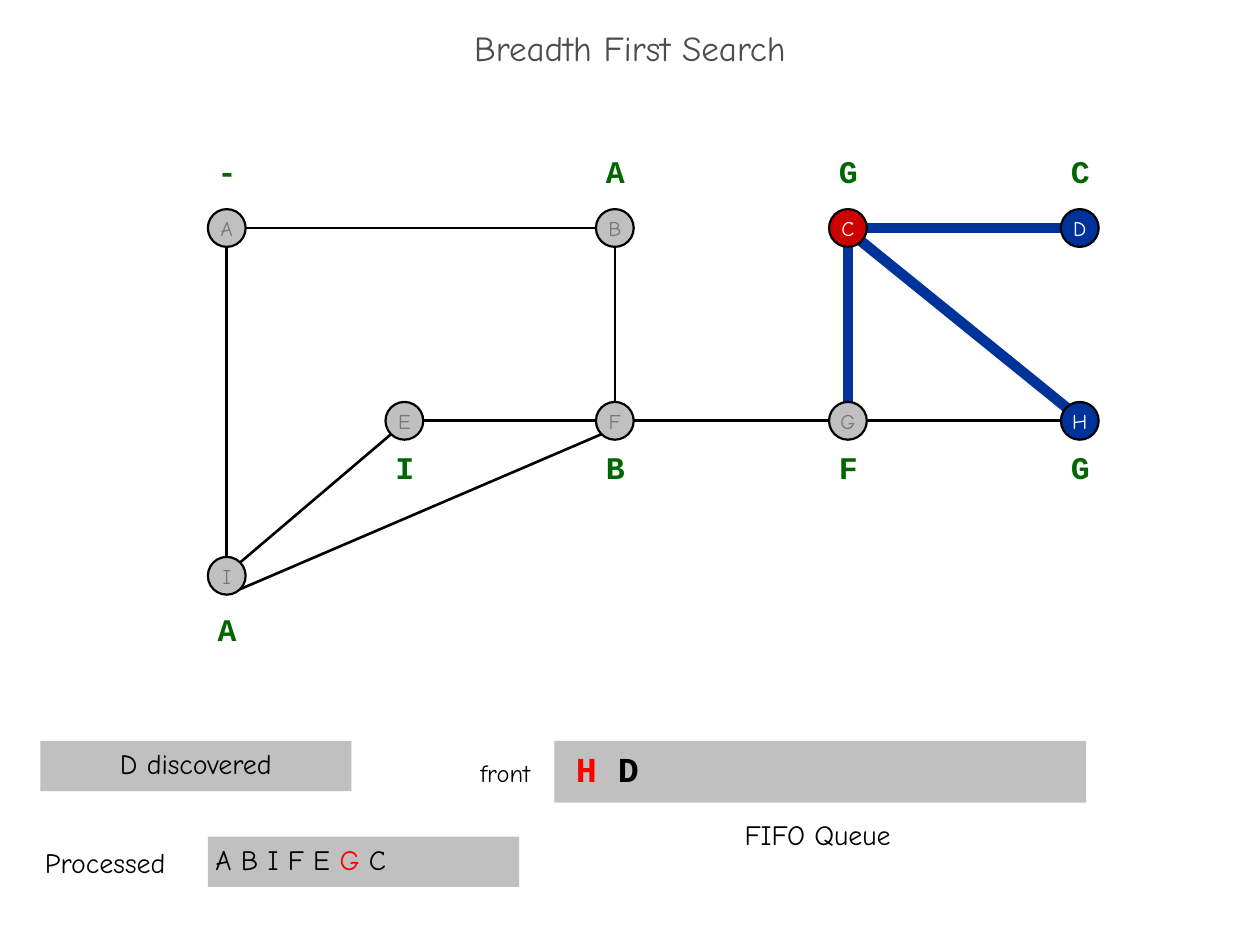
from dataclasses import dataclass
from math import hypot

from lxml.etree import SubElement
from pptx import Presentation
from pptx.dml.color import RGBColor
from pptx.enum.shapes import MSO_CONNECTOR as Connector, MSO_SHAPE as Shape
from pptx.enum.text import MSO_ANCHOR as Anchor, PP_ALIGN as Align
from pptx.oxml.ns import qn
from pptx.util import Inches, Pt


@dataclass(frozen=True)
class Theme:
    text_font: str = "Comic Neue"
    code_font: str = "Courier New"
    title: str = "4D4D4D"
    black: str = "000000"
    white: str = "FFFFFF"
    red: str = "FF0000"
    gray: str = "C0C0C0"
    dim: str = "777777"
    parent: str = "006600"
    current: str = "CC0000"
    active: str = "003399"
    title_size: int = 20
    queue_size: int = 20
    parent_size: int = 18
    body_size: int = 16
    front_size: int = 14
    node_size: int = 12
    edge_width: float = 1.5
    active_width: float = 6
    outline_width: float = 1.25


THEME = Theme()
WIDTH, HEIGHT = 10, 7.5
COLUMNS = (1.8, 3.21, 4.88, 6.73, 8.57)
ROWS = (1.81, 3.34, 4.57)
RADIUS = 0.15
ABOVE, BELOW, FAR_BELOW = -0.65, 0.17, 0.22

# name: (column, row, state, parent, offset of the parent label)
NODES = {
    "A": (0, 0, "done", "-", ABOVE),
    "B": (2, 0, "done", "A", ABOVE),
    "C": (3, 0, "current", "G", ABOVE),
    "D": (4, 0, "queued", "C", ABOVE),
    "E": (1, 1, "done", "I", BELOW),
    "F": (2, 1, "done", "B", BELOW),
    "G": (3, 1, "done", "F", BELOW),
    "H": (4, 1, "queued", "G", BELOW),
    "I": (0, 2, "done", "A", FAR_BELOW),
}
STATE_COLORS = {
    "done": (THEME.gray, THEME.dim),
    "current": (THEME.current, THEME.white),
    "queued": (THEME.active, THEME.white),
}
UP, DOWN, LEFT, RIGHT = (0, -1), (0, 1), (-1, 0), (1, 0)
UP_RIGHT, DOWN_LEFT, DOWN_RIGHT, UP_LEFT = (1, -1), (-1, 1), (1, 1), (-1, -1)

# start, side of start, end, side of end
EDGES = [
    ("A", DOWN, "I", UP),
    ("B", DOWN, "F", UP),
    ("E", RIGHT, "F", LEFT),
    ("I", UP_RIGHT, "E", DOWN_LEFT),
    ("A", RIGHT, "B", LEFT),
    ("I", DOWN_RIGHT, "F", DOWN_LEFT),
    ("G", RIGHT, "H", LEFT),
    ("F", RIGHT, "G", LEFT),
]
ACTIVE_EDGES = [
    ("C", DOWN, "G", UP),
    ("C", DOWN_RIGHT, "H", UP_LEFT),
    ("C", RIGHT, "D", LEFT),
]


def color(value):
    return RGBColor.from_string(value)


def center(name):
    column, row = NODES[name][:2]
    return COLUMNS[column], ROWS[row]


def rim_point(name, side):
    """Return the point of a node's circle that faces the given side."""
    length = hypot(*side)
    return [Inches(c + RADIUS * s / length) for c, s in zip(center(name), side)]


def write(shape, runs, size, font=THEME.text_font, align=Align.CENTER,
          anchor=Anchor.TOP, bold=False, wrap=True):
    """Fill the shape's only paragraph with (text, colour) runs."""
    frame = shape.text_frame
    frame.word_wrap = wrap
    frame.vertical_anchor = anchor
    paragraph = frame.paragraphs[0]
    paragraph.alignment = align
    for text, text_color in runs:
        run = paragraph.add_run()
        run.text = text
        run.font.name = font
        run.font.size = Pt(size)
        run.font.bold = bold
        run.font.color.rgb = color(text_color)
    return paragraph


def add_title(slide, text):
    title = slide.shapes.title
    title.left, title.top = Inches(0), Inches(0.17)
    title.width, title.height = Inches(WIDTH), Inches(0.5)
    paragraph = write(title, [(text, THEME.title)], THEME.title_size,
                      anchor=Anchor.MIDDLE)
    paragraph.line_spacing = 0.7


def add_edge(slide, edge, line_color, width):
    start, start_side, end, end_side = edge
    line = slide.shapes.add_connector(
        Connector.STRAIGHT, *rim_point(start, start_side), *rim_point(end, end_side))
    line.line.color.rgb = color(line_color)
    line.line.width = Pt(width)
    SubElement(line._element.spPr, qn("a:effectLst"))


def add_node(slide, name):
    fill, text_color = STATE_COLORS[NODES[name][2]]
    x, y = center(name)
    node = slide.shapes.add_shape(Shape.OVAL, Inches(x - RADIUS), Inches(y - RADIUS),
                                  Inches(2 * RADIUS), Inches(2 * RADIUS))
    node.shadow.inherit = False
    node.fill.solid()
    node.fill.fore_color.rgb = color(fill)
    node.line.color.rgb = color(THEME.black)
    node.line.width = Pt(THEME.outline_width)
    write(node, [(name, text_color)], THEME.node_size, anchor=Anchor.MIDDLE, wrap=False)


def add_label(slide, box, text, size, text_color=THEME.black, **style):
    label = slide.shapes.add_textbox(*map(Inches, box))
    write(label, [(text, text_color)], size, **style)


def add_parent_label(slide, name):
    parent, offset = NODES[name][3:]
    x, y = center(name)
    add_label(slide, (x - 0.17, y + offset, 0.37, 0.4), parent, THEME.parent_size,
              THEME.parent, font=THEME.code_font, align=Align.LEFT, bold=True)


def add_panel(slide, box, runs, size, inset=0, fill=THEME.gray, **style):
    panel = slide.shapes.add_shape(Shape.RECTANGLE, *map(Inches, box))
    panel.shadow.inherit = False
    panel.fill.solid()
    panel.fill.fore_color.rgb = color(fill)
    panel.line.fill.background()
    panel.text_frame.margin_left = Inches(inset)
    panel.text_frame.margin_right = 0
    write(panel, runs, size, **style)


def main():
    presentation = Presentation()
    presentation.slide_width, presentation.slide_height = Inches(WIDTH), Inches(HEIGHT)
    slide = presentation.slides.add_slide(presentation.slide_layouts[5])
    add_title(slide, "Breadth First Search")

    for edge in EDGES:
        add_edge(slide, edge, THEME.black, THEME.edge_width)
    for edge in ACTIVE_EDGES:
        add_edge(slide, edge, THEME.active, THEME.active_width)
    for name in NODES:
        add_node(slide, name)
        add_parent_label(slide, name)

    add_panel(slide, (0.32, 5.88, 2.47, 0.4), [("D discovered", THEME.black)],
              THEME.body_size)
    add_label(slide, (3.6, 5.97, 0.82, 0.33), "front", THEME.front_size)
    add_panel(slide, (4.4, 5.88, 4.22, 0.49), [("H", THEME.red), (" D", THEME.black)],
              THEME.queue_size, inset=0.17, font=THEME.code_font, align=Align.LEFT,
              bold=True)
    add_label(slide, (4.4, 6.44, 4.18, 0.37), "FIFO Queue", THEME.body_size)
    add_panel(slide, (0.02, 6.66, 1.63, 0.4), [("Processed", THEME.black)],
              THEME.body_size, fill=THEME.white)
    add_panel(slide, (1.65, 6.64, 2.47, 0.4),
              [("A B I F E ", THEME.black), ("G", THEME.red), (" C", THEME.black)],
              THEME.body_size, inset=0.06, align=Align.LEFT)
    presentation.save("out.pptx")


if __name__ == "__main__":
    main()
